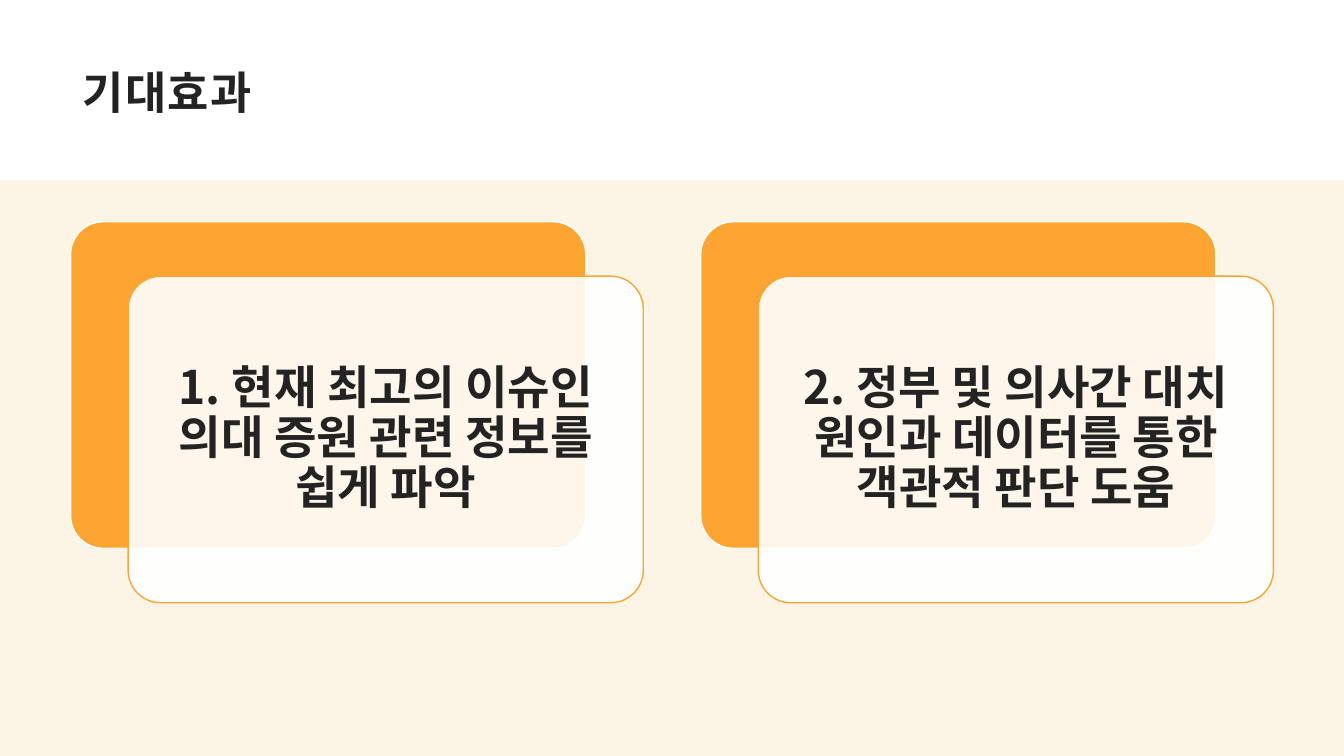
from dataclasses import dataclass

from lxml.etree import SubElement
from pptx import Presentation
from pptx.dml.color import RGBColor
from pptx.enum.shapes import MSO_SHAPE as Preset
from pptx.enum.text import MSO_ANCHOR as Anchor, PP_ALIGN as Align
from pptx.oxml.ns import qn
from pptx.shapes.autoshape import Shape
from pptx.slide import Slide
from pptx.util import Inches, Pt


@dataclass(frozen=True)
class Theme:
    font: str = "Noto Sans CJK KR"
    ink: RGBColor = RGBColor(0x23, 0x23, 0x23)
    white: RGBColor = RGBColor(0xFF, 0xFF, 0xFF)
    cream: RGBColor = RGBColor(0xFC, 0xF5, 0xE5)
    orange: RGBColor = RGBColor(0xFD, 0xA4, 0x31)
    title_size: int = 32
    card_size: int = 33


@dataclass(frozen=True)
class Card:
    left: float
    text: str


THEME = Theme()
SLIDE_WIDTH, SLIDE_HEIGHT = 13.33, 7.5
BAND_TOP = 1.79
CARD_TOP, CARD_WIDTH, CARD_HEIGHT = 2.2, 5.11, 3.24
FRONT_SHIFT_X, FRONT_SHIFT_Y = 0.57, 0.54
CARD_LEFT, CARD_PITCH = 0.7, 6.25
EFFECTS = (
    "1. 현재 최고의 이슈인 의대 증원 관련 정보를 쉽게 파악",
    "2. 정부 및 의사간 대치 원인과 데이터를 통한 객관적 판단 도움",
)


def write_text(shape: Shape, text: str, size: int, align: Align,
               line_spacing: float, margin: float, tracking: int = 0) -> None:
    frame = shape.text_frame
    frame.word_wrap = True
    frame.vertical_anchor = Anchor.MIDDLE
    frame.margin_left = frame.margin_right = Inches(margin)
    frame.margin_top = frame.margin_bottom = Inches(margin)
    frame.text = text
    paragraph = frame.paragraphs[0]
    paragraph.alignment = align
    paragraph.line_spacing = line_spacing
    font = paragraph.font
    font.name = THEME.font
    font.size = Pt(size)
    font.bold = True
    font.color.rgb = THEME.ink
    properties = paragraph._p.pPr.find(qn("a:defRPr"))
    SubElement(properties, qn("a:ea"), typeface=THEME.font)
    if tracking:
        properties.set("spc", str(tracking))


def add_panel(slide: Slide, preset: Preset, left: float, top: float,
              width: float, height: float, fill: RGBColor,
              line: RGBColor | None = None) -> Shape:
    shape = slide.shapes.add_shape(
        preset, Inches(left), Inches(top), Inches(width), Inches(height))
    shape.shadow.inherit = False
    shape.fill.solid()
    shape.fill.fore_color.rgb = fill
    if line is None:
        shape.line.fill.background()
    else:
        shape.line.color.rgb = line
        shape.line.width = Pt(1)
    if preset == Preset.ROUNDED_RECTANGLE:
        shape.adjustments[0] = 0.1
    return shape


def set_opacity(shape: Shape, percent: int) -> None:
    color = shape._element.spPr.find(qn("a:solidFill"))[0]
    SubElement(color, qn("a:alpha"), val=str(percent * 1000))


def add_card(slide: Slide, card: Card) -> None:
    add_panel(slide, Preset.ROUNDED_RECTANGLE, card.left, CARD_TOP,
              CARD_WIDTH, CARD_HEIGHT, THEME.orange, THEME.white)
    front = add_panel(slide, Preset.ROUNDED_RECTANGLE,
                      card.left + FRONT_SHIFT_X, CARD_TOP + FRONT_SHIFT_Y,
                      CARD_WIDTH, CARD_HEIGHT, THEME.white, THEME.orange)
    set_opacity(front, 90)
    write_text(front, card.text, THEME.card_size, Align.CENTER, 0.9, 0.14)


def add_title(slide: Slide, text: str) -> None:
    title = slide.shapes.title
    title.left, title.top = Inches(0.7), Inches(0.52)
    title.width, title.height = Inches(11.93), Inches(0.75)
    write_text(title, text, THEME.title_size, Align.LEFT, 1.05, 0.12, 100)


def main() -> None:
    presentation = Presentation()
    presentation.slide_width = Inches(SLIDE_WIDTH)
    presentation.slide_height = Inches(SLIDE_HEIGHT)
    slide = presentation.slides.add_slide(presentation.slide_layouts[5])
    slide.background.fill.solid()
    slide.background.fill.fore_color.rgb = THEME.white
    add_title(slide, "기대효과")
    add_panel(slide, Preset.RECTANGLE, 0, BAND_TOP, SLIDE_WIDTH,
              SLIDE_HEIGHT - BAND_TOP, THEME.cream)
    for index, text in enumerate(EFFECTS):
        add_card(slide, Card(CARD_LEFT + index * CARD_PITCH, text))
    presentation.save("out.pptx")


if __name__ == "__main__":
    main()
